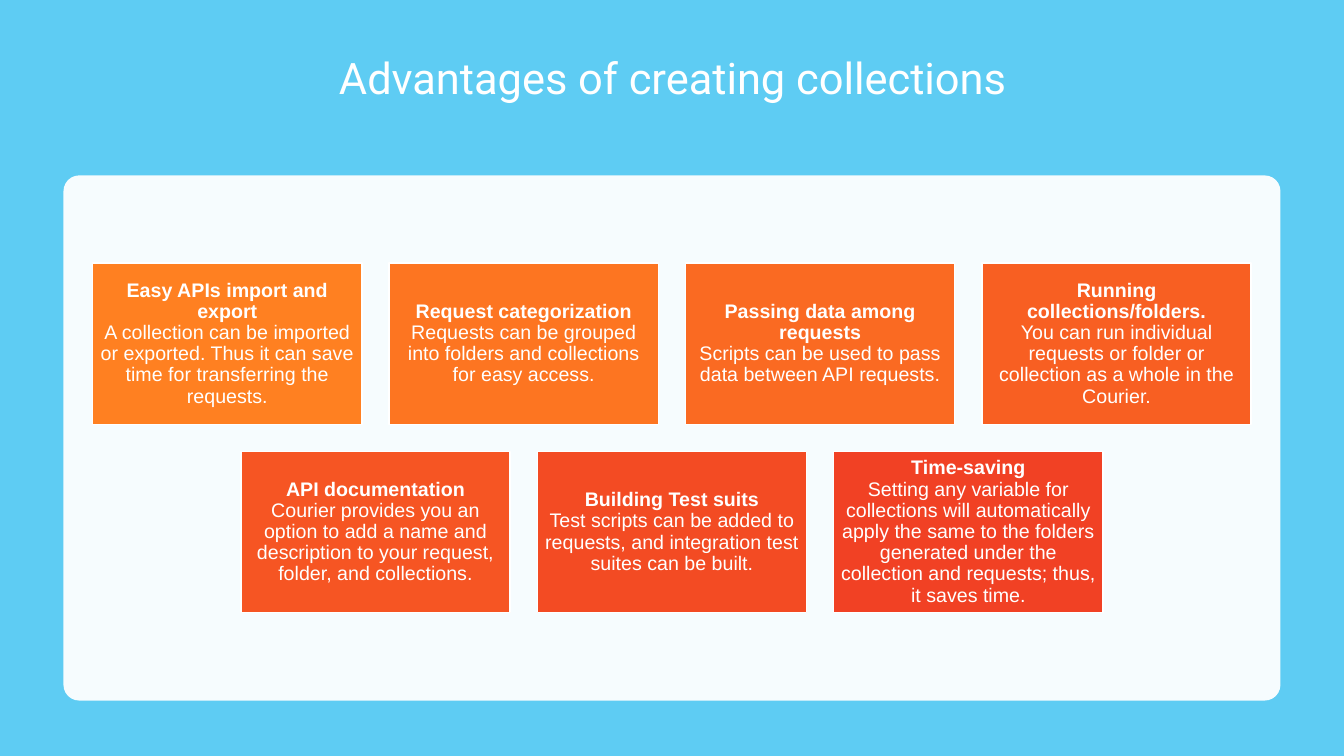
"""Build the slide on the advantages of creating collections."""
from dataclasses import dataclass

from lxml.etree import SubElement
from pptx import Presentation
from pptx.dml.color import RGBColor
from pptx.dml.fill import FillFormat
from pptx.enum.shapes import MSO_SHAPE as Preset
from pptx.enum.text import MSO_ANCHOR as Anchor, PP_ALIGN as Align
from pptx.oxml.ns import qn
from pptx.shapes.autoshape import Shape
from pptx.slide import Slide
from pptx.text.text import TextFrame, _Paragraph as Paragraph
from pptx.util import Inches, Pt

COLORS = {
    "sky": "5ECCF3",
    "white": "FFFFFF",
    "card1": "FF8021",
    "card2": "FD7521",
    "card3": "FA6A22",
    "card4": "F85F22",
    "card5": "F65523",
    "card6": "F34B23",
    "card7": "F14124",
}
SLIDE_WIDTH, SLIDE_HEIGHT = 13.33, 7.5
CARD_WIDTH, CARD_HEIGHT, CARD_GAP = 2.67, 1.6, 0.27
FIRST_ROW_TOP = 2.61
INSET = 0.06


@dataclass(frozen=True)
class Advantage:
    """One advantage with its heading, explanation and card colour."""

    heading: str
    detail: str
    color: str


ROWS = [
    [
        Advantage("Easy APIs import and export",
                  "A collection can be imported or exported. Thus it can save "
                  "time for transferring the requests.", "card1"),
        Advantage("Request categorization",
                  "Requests can be grouped into folders and collections for "
                  "easy access.", "card2"),
        Advantage("Passing data among requests",
                  "Scripts can be used to pass data between API requests.", "card3"),
        Advantage("Running collections/folders.",
                  "You can run individual requests or folder or collection as "
                  "a whole in the Courier.", "card4"),
    ],
    [
        Advantage("API documentation",
                  "Courier provides you an option to add a name and description "
                  "to your request, folder, and collections.", "card5"),
        Advantage("Building Test suits",
                  "Test scripts can be added to requests, and integration test "
                  "suites can be built.", "card6"),
        Advantage("Time-saving",
                  "Setting any variable for collections will automatically apply "
                  "the same to the folders generated under the collection and "
                  "requests; thus, it saves time.", "card7"),
    ],
]


def paint(fill: FillFormat, color: str) -> None:
    """Fill with a solid colour from the palette."""
    fill.solid()
    fill.fore_color.rgb = RGBColor.from_string(COLORS[color])


def write(paragraph: Paragraph, text: str, *, size: float = 14, font: str = "Arial",
          color: str = "white", bold: bool = False) -> None:
    """Append formatted text to a centred paragraph."""
    paragraph.alignment = Align.CENTER
    paragraph.line_spacing = 0.9
    paragraph.space_before = Pt(0)
    run = paragraph.add_run()
    run.text = text
    run.font.size = Pt(size)
    run.font.name = font
    run.font.bold = bold
    run.font.color.rgb = RGBColor.from_string(COLORS[color])


def set_frame(frame: TextFrame, side: float, top: float, bottom: float) -> None:
    """Centre the text vertically within the given insets."""
    frame.word_wrap = True
    frame.vertical_anchor = Anchor.MIDDLE
    frame.margin_left = frame.margin_right = Inches(side)
    frame.margin_top, frame.margin_bottom = Inches(top), Inches(bottom)


def add_block(slide: Slide, preset: Preset, left: float, top: float,
              width: float, height: float, color: str) -> Shape:
    """Add a filled preset shape without shadow or outline."""
    block = slide.shapes.add_shape(
        preset, Inches(left), Inches(top), Inches(width), Inches(height))
    block.shadow.inherit = False
    paint(block.fill, color)
    block.line.fill.background()
    return block


def add_title(slide: Slide, text: str) -> None:
    """Place and format the title placeholder."""
    title = slide.shapes.title
    title.left, title.top = Inches(0.92), Inches(0.5)
    title.width, title.height = Inches(11.5), Inches(1.1)
    set_frame(title.text_frame, 0.1, 0.05, 0.55)
    write(title.text_frame.paragraphs[0], text, size=31, font="Roboto")


def add_panel(slide: Slide) -> None:
    """Add the slightly transparent rounded panel behind the cards."""
    panel = add_block(slide, Preset.ROUNDED_RECTANGLE, 0.63, 1.74, 12.07, 5.21, "white")
    panel.adjustments[0] = 0.03
    tint = panel.fill._xPr.find(qn("a:solidFill"))[0]
    SubElement(tint, qn("a:alpha")).set("val", "95000")


def add_card(slide: Slide, advantage: Advantage, left: float, top: float) -> None:
    """Add one advantage card with its heading and explanation."""
    card = add_block(slide, Preset.RECTANGLE, left, top,
                     CARD_WIDTH, CARD_HEIGHT, advantage.color)
    paint(card.line.fill, "white")
    card.line.width = Pt(1)
    set_frame(card.text_frame, INSET, INSET, INSET)
    paragraph = card.text_frame.paragraphs[0]
    write(paragraph, advantage.heading, bold=True)
    paragraph.add_line_break()
    write(paragraph, advantage.detail)


def add_cards(slide: Slide) -> None:
    """Lay out the cards in centred rows with equal gaps."""
    step = CARD_WIDTH + CARD_GAP
    for row, advantages in enumerate(ROWS):
        row_left = (SLIDE_WIDTH - len(advantages) * step + CARD_GAP) / 2
        top = FIRST_ROW_TOP + row * (CARD_HEIGHT + CARD_GAP)
        for column, advantage in enumerate(advantages):
            add_card(slide, advantage, row_left + column * step, top)


def main() -> None:
    """Create the presentation and save it."""
    deck = Presentation()
    deck.slide_width, deck.slide_height = Inches(SLIDE_WIDTH), Inches(SLIDE_HEIGHT)
    slide = deck.slides.add_slide(deck.slide_layouts[5])
    paint(slide.background.fill, "sky")
    add_title(slide, "Advantages of creating collections")
    add_panel(slide)
    add_cards(slide)
    deck.save("out.pptx")


if __name__ == "__main__":
    main()
